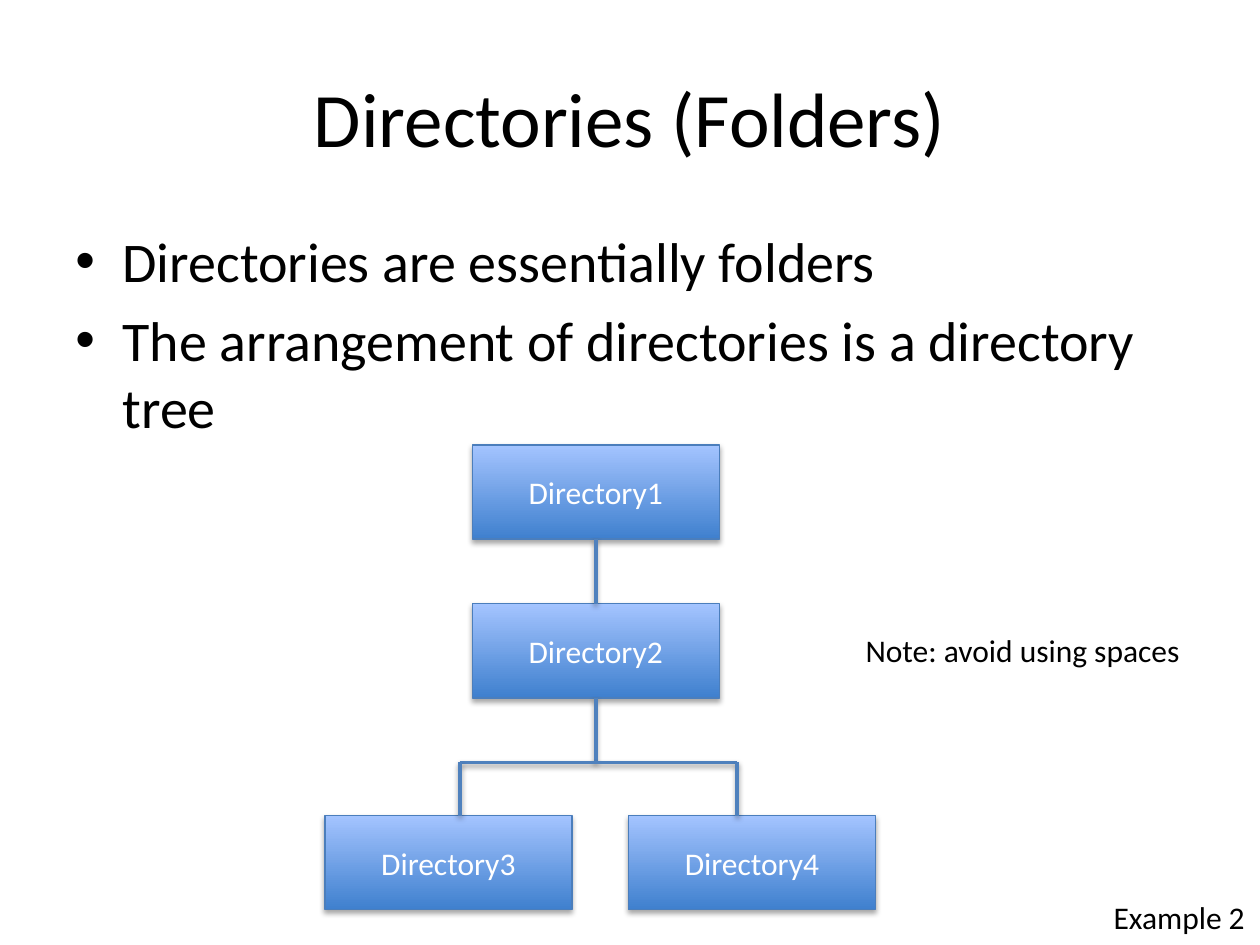
from lxml import etree
from pptx import Presentation
from pptx import util as u
from pptx.dml.color import RGBColor
from pptx.enum import shapes, text
from pptx.oxml import ns

BLACK = RGBColor(0x00, 0x00, 0x00)
WHITE = RGBColor(0xFF, 0xFF, 0xFF)
BOX_BOTTOM = RGBColor(0x3F, 0x80, 0xCE)
BOX_TOP = RGBColor(0xA4, 0xC4, 0xFF)
BOX_LINE = RGBColor(0x4B, 0x7E, 0xBC)
BRANCH = RGBColor(0x4F, 0x81, 0xBD)

FONT = "Calibri"
BOX_WIDTH, BOX_HEIGHT = 4.98, 1.9


def write(frame, lines, size=18, color=BLACK, align=text.PP_ALIGN.LEFT,
          anchor=text.MSO_ANCHOR.TOP, wrap=True, bullet=None):
    """Fill a text frame with one paragraph per line."""
    frame.word_wrap = wrap
    frame.vertical_anchor = anchor
    for index, line in enumerate(lines):
        paragraph = frame.paragraphs[0] if index == 0 else frame.add_paragraph()
        paragraph.alignment = align
        run = paragraph.add_run()
        run.text = line
        run.font.name = FONT
        run.font.size = u.Pt(size)
        run.font.color.rgb = color
        if bullet:
            paragraph.space_before = u.Pt(size * 0.2)
            properties = paragraph._p.get_or_add_pPr()
            properties.set("marL", str(u.Cm(0.95)))
            properties.set("indent", str(-u.Cm(0.95)))
            etree.SubElement(properties, ns.qn("a:buFont"), typeface="Arial")
            etree.SubElement(properties, ns.qn("a:buChar"), char=bullet)


def add_text(slide, left, top, width, height, lines, **style):
    box = slide.shapes.add_textbox(u.Cm(left), u.Cm(top), u.Cm(width), u.Cm(height))
    write(box.text_frame, lines, **style)
    return box


def add_shadow(shape, opacity, distance):
    """Soft shadow straight below a shape or connector."""
    effects = etree.SubElement(shape._element.spPr, ns.qn("a:effectLst"))
    shadow = etree.SubElement(
        effects, ns.qn("a:outerShdw"), blurRad=str(u.Pt(3.1)),
        dist=str(u.Pt(distance)), dir="5400000", rotWithShape="0")
    color = etree.SubElement(shadow, ns.qn("a:srgbClr"), val=str(BLACK))
    etree.SubElement(color, ns.qn("a:alpha"), val=str(opacity * 1000))


def add_directory(slide, left, top, name):
    box = slide.shapes.add_shape(
        shapes.MSO_SHAPE.RECTANGLE, u.Cm(left), u.Cm(top),
        u.Cm(BOX_WIDTH), u.Cm(BOX_HEIGHT))
    box.fill.gradient()
    box.fill.gradient_angle = 90
    for stop, color in zip(box.fill.gradient_stops, (BOX_BOTTOM, BOX_TOP)):
        stop.color.rgb = color
    box.line.color.rgb = BOX_LINE
    box.line.width = u.Pt(0.75)
    add_shadow(box, 35, 1.8)
    write(box.text_frame, [name], color=WHITE, align=text.PP_ALIGN.CENTER,
          anchor=text.MSO_ANCHOR.MIDDLE)
    return box


def add_branch(slide, x1, y1, x2, y2, begin=None, end=None):
    """Straight line, joined to the bottom of begin and the top of end."""
    line = slide.shapes.add_connector(
        shapes.MSO_CONNECTOR.STRAIGHT, u.Cm(x1), u.Cm(y1), u.Cm(x2), u.Cm(y2))
    if begin is not None:
        line.begin_connect(begin, 2)
    if end is not None:
        line.end_connect(end, 0)
    line.line.color.rgb = BRANCH
    line.line.width = u.Pt(2)
    add_shadow(line, 38, 1.6)


def add_heading(slide, left, top, width):
    add_text(slide, left, top, width, 3.18, ["Directories (Folders)"], size=44,
             align=text.PP_ALIGN.CENTER, anchor=text.MSO_ANCHOR.MIDDLE)


def add_points(slide, left, top, width):
    add_text(slide, left, top, width, 12.57,
             ["Directories are essentially folders",
              "The arrangement of directories is a directory tree"],
             size=32, bullet="•")


def add_tree(slide, left, top):
    parent_left = left + 2.97
    middle = parent_left + BOX_WIDTH / 2
    second_top = top + 3.2
    child_top = top + 7.47
    bar_top = top + 6.4
    bar_left, bar_right = left + 2.72, left + 8.31

    # Directories
    first = add_directory(slide, parent_left, top, "Directory1")
    second = add_directory(slide, parent_left, second_top, "Directory2")
    add_directory(slide, left, child_top, "Directory3")
    add_directory(slide, left + 6.12, child_top, "Directory4")

    # Branches
    add_branch(slide, middle, top + BOX_HEIGHT, middle, second_top, first, second)
    add_branch(slide, middle, second_top + BOX_HEIGHT, middle, bar_top, second)
    add_branch(slide, bar_left, bar_top, bar_right, bar_top)
    for x in (bar_left, bar_right):
        add_branch(slide, x, bar_top, x, child_top)


def add_label(slide, left, top, width, label):
    box = add_text(slide, left, top, width, 1.02, [label], wrap=False)
    box.text_frame.auto_size = text.MSO_AUTO_SIZE.SHAPE_TO_FIT_TEXT


def main():
    presentation = Presentation()
    presentation.slide_width = u.Cm(25.4)
    presentation.slide_height = u.Cm(19.05)
    slide = presentation.slides.add_slide(presentation.slide_layouts[6])

    add_heading(slide, 1.27, 0.76, 22.86)
    add_points(slide, 1.27, 4.45, 22.86)
    add_tree(slide, 6.55, 8.97)
    add_label(slide, 22.2, 17.98, 3.2, "Example 2")
    add_label(slide, 17.2, 12.6, 6.93, "Note: avoid using spaces")

    presentation.save("out.pptx")


if __name__ == "__main__":
    main()
